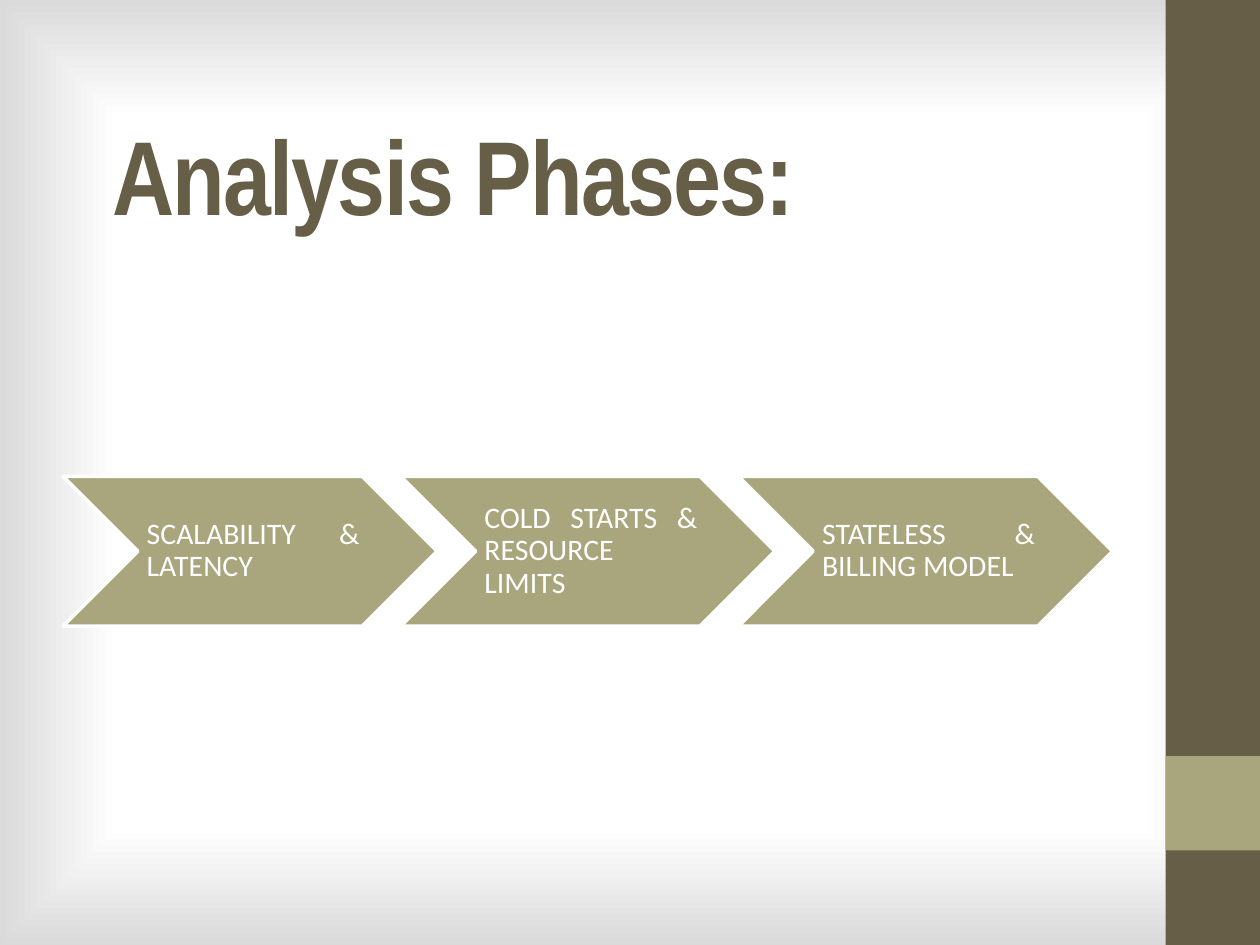
"""Build the Analysis Phases slide: a title above a row of chevrons."""
from dataclasses import dataclass

from lxml import etree
from pptx import Presentation
from pptx import util as u
from pptx.dml.color import RGBColor
from pptx.enum import shapes, text
from pptx.oxml import ns

TITLE = "Analysis Phases:"
PHASES = ["SCALABILITY & LATENCY", "COLD STARTS & RESOURCE LIMITS", "STATELESS & BILLING MODEL"]
SIDEBAR = [("dark", 0, 7.5), ("accent", 6, 0.75)]
SIDEBAR_LEFT, SIDEBAR_WIDTH = 9.25, 0.75
CHEVRON_LEFT, CHEVRON_TOP, CHEVRON_WIDTH, CHEVRON_HEIGHT = 0.5, 3.78, 2.97, 1.19
CHEVRON_STEP = 2.68


@dataclass(frozen=True)
class Theme:
    dark: str = "675E47"
    accent: str = "A9A57C"
    chevron: str = "A9A57D"
    light: str = "FFFFFF"
    edge: str = "DADADA"
    title_font: str = "Arial Narrow"
    body_font: str = "Calibri"
    title_size: int = 60
    body_size: int = 17


THEME = Theme()


def style_font(font, name, size, color):
    font.name, font.size = name, u.Pt(size)
    font.color.rgb = RGBColor.from_string(color)


def add_filled_shape(slide, kind, box, color):
    shape = slide.shapes.add_shape(kind, *map(u.Inches, box))
    shape.shadow.inherit = False
    shape.fill.solid()
    shape.fill.fore_color.rgb = RGBColor.from_string(color)
    shape.line.fill.background()
    return shape


def paint_background(slide):
    slide.background.fill.gradient()
    gradient = slide.element.find(".//" + ns.qn("a:gradFill"))
    for child in list(gradient):
        gradient.remove(child)
    stops = etree.SubElement(gradient, ns.qn("a:gsLst"))
    for position, color in [(0, THEME.light), (75, THEME.light), (100, THEME.edge)]:
        stop = etree.SubElement(stops, ns.qn("a:gs"), pos=str(position * 1000))
        etree.SubElement(stop, ns.qn("a:srgbClr"), val=color)
    outline = etree.SubElement(gradient, ns.qn("a:path"), path="shape")
    etree.SubElement(outline, ns.qn("a:fillToRect"), dict.fromkeys("ltrb", "50000"))


def add_title(slide):
    title = slide.shapes.title
    title.left, title.top, title.width, title.height = map(u.Inches, (0.79, 0.52, 9, 1.72))
    title.text_frame.text = TITLE
    title.text_frame.vertical_anchor = text.MSO_ANCHOR.MIDDLE
    paragraph = title.text_frame.paragraphs[0]
    paragraph.alignment = text.PP_ALIGN.LEFT
    style_font(paragraph.font, THEME.title_font, THEME.title_size, THEME.dark)
    paragraph.font.bold = True
    paragraph.runs[0].font._element.set("spc", "-100")


def add_phase(slide, index, label):
    box = (CHEVRON_LEFT + index * CHEVRON_STEP, CHEVRON_TOP, CHEVRON_WIDTH, CHEVRON_HEIGHT)
    chevron = add_filled_shape(slide, shapes.MSO_SHAPE.CHEVRON, box, THEME.chevron)
    chevron.adjustments[0] = 0.5
    chevron.line.color.rgb = RGBColor.from_string(THEME.light)
    chevron.line.width = u.Pt(2)
    frame = chevron.text_frame
    frame.word_wrap = True
    frame.vertical_anchor = text.MSO_ANCHOR.MIDDLE
    frame.margin_left = u.Inches(0.07)
    frame.margin_top = frame.margin_right = frame.margin_bottom = u.Inches(0.02)
    frame.text = label
    paragraph = frame.paragraphs[0]
    paragraph.alignment = text.PP_ALIGN.JUSTIFY
    paragraph.line_spacing = 0.9
    style_font(paragraph.font, THEME.body_font, THEME.body_size, THEME.light)


presentation = Presentation()
presentation.slide_width, presentation.slide_height = u.Inches(10), u.Inches(7.5)
slide = presentation.slides.add_slide(presentation.slide_layouts[5])
paint_background(slide)
for color_name, top, height in SIDEBAR:
    add_filled_shape(slide, shapes.MSO_SHAPE.RECTANGLE,
                     (SIDEBAR_LEFT, top, SIDEBAR_WIDTH, height), getattr(THEME, color_name))
add_title(slide)
for index, label in enumerate(PHASES):
    add_phase(slide, index, label)
presentation.save("out.pptx")
